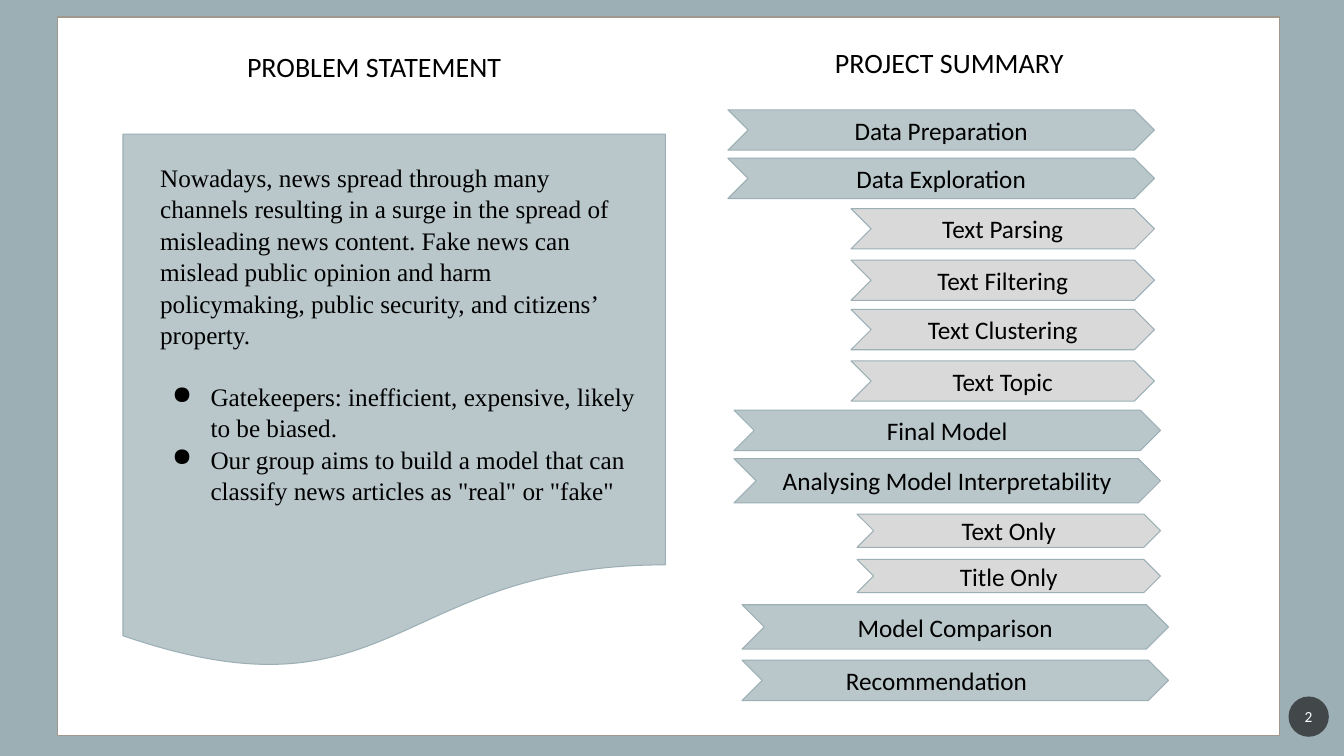
from dataclasses import dataclass

from lxml.etree import SubElement
from pptx import Presentation
from pptx.dml.color import RGBColor
from pptx.enum.shapes import MSO_SHAPE
from pptx.enum.text import MSO_ANCHOR, MSO_AUTO_SIZE, PP_ALIGN
from pptx.oxml.ns import qn
from pptx.util import Inches, Pt


@dataclass(frozen=True)
class Theme:
    back: str = "9BAFB5"
    panel: str = "FFFFFF"
    edge: str = "A0988C"
    top: str = "B9C7CB"
    base: str = "B7C5C9"
    sub: str = "D9D9D9"
    badge: str = "1D1D1D"
    ink: str = "000000"
    sans: str = "Calibri"
    serif: str = "Times New Roman"
    head: int = 20
    body: int = 18
    small: int = 11


LOOK = Theme()
INDENT = 1.22

INTRO = ("Nowadays, news spread through many channels resulting in a surge in "
         "the spread of misleading news content. Fake news can mislead public "
         "opinion and harm policymaking, public security, and citizens’ property.")
POINTS = ["Gatekeepers: inefficient, expensive, likely to be biased.",
          "Our group aims to build a model that can classify news articles "
          "as \"real\" or \"fake\""]

# Each stage: shift from the column's left, then (label, top, height, is sub-step)
STAGES = [
    (0, [("Data Preparation", 0, 0.4, False),
         ("Data Exploration", 0.48, 0.4, False),
         ("Text Parsing", 0.98, 0.4, True),
         ("Text Filtering", 1.49, 0.4, True),
         ("Text Clustering", 1.98, 0.4, True),
         ("Text Topic", 2.49, 0.4, True)]),
    (0.06, [("Final Model", 2.98, 0.4, False),
            ("Analysing Model Interpretability", 3.46, 0.44, False),
            ("Text Only", 4.01, 0.33, True),
            ("Title Only", 4.46, 0.33, True)]),
    (0.14, [("Model Comparison", 4.91, 0.44, False),
            ("Recommendation", 5.46, 0.4, False)]),
]


def rgb(code):
    return RGBColor.from_string(code)


def style(par, size, font=LOOK.sans, color=LOOK.ink, align=PP_ALIGN.LEFT):
    par.alignment = align
    par.font.size = Pt(size)
    par.font.name = font
    par.font.color.rgb = rgb(color)


def draw(slide, kind, box, fill, line=None, width=0.75):
    """Add a flat shape; a pair of fill colours gives a vertical gradient."""
    shape = slide.shapes.add_shape(kind, *map(Inches, box))
    shape.shadow.inherit = False
    if isinstance(fill, tuple):
        shape.fill.gradient()
        shape.fill.gradient_angle = 270
        for stop, code, spot in zip(shape.fill.gradient_stops, fill, (0, 1)):
            stop.color.rgb = rgb(code)
            stop.position = spot
    else:
        shape.fill.solid()
        shape.fill.fore_color.rgb = rgb(fill)
    if line:
        shape.line.color.rgb = rgb(line)
        shape.line.width = Pt(width)
    else:
        shape.line.fill.background()
    return shape


def label(shape, text, **kw):
    frame = shape.text_frame
    frame.word_wrap = True
    frame.vertical_anchor = MSO_ANCHOR.MIDDLE
    frame.text = text
    style(frame.paragraphs[0], align=PP_ALIGN.CENTER, **kw)
    return frame


def heading(shape, text, box):
    shape.left, shape.top, shape.width, shape.height = map(Inches, box)
    frame = shape.text_frame
    frame.word_wrap = True
    frame.auto_size = MSO_AUTO_SIZE.NONE
    frame.vertical_anchor = MSO_ANCHOR.TOP
    frame.margin_left = Inches(0.29)
    frame.text = text
    style(frame.paragraphs[0], LOOK.head)


def bullet(par):
    props = par._p.get_or_add_pPr()
    props.set("marL", str(Inches(0.5)))
    props.set("indent", str(Inches(-0.38)))
    tint = SubElement(props, qn("a:buClr"))
    SubElement(tint, qn("a:srgbClr"), val=LOOK.ink)
    SubElement(props, qn("a:buChar"), char="●")


def problem(slide, box):
    x, y, w, h = box
    draw(slide, MSO_SHAPE.FLOWCHART_DOCUMENT, box, (LOOK.top, LOOK.base), LOOK.back)
    area = (x + 0.27, y + 0.22, w - 0.45, h - 1.9)
    frame = slide.shapes.add_textbox(*map(Inches, area)).text_frame
    frame.word_wrap = True
    frame.text = "\n".join([INTRO, *POINTS])
    for par in frame.paragraphs:
        style(par, LOOK.body, LOOK.serif)
        par.line_spacing = 1.04
    first, *rest = frame.paragraphs
    first.space_after = Pt(21.5)
    for par in rest:
        bullet(par)


def summary(slide, x, y, w):
    """Stack the step chevrons; sub-steps are indented and grey."""
    for shift, steps in STAGES:
        for text, top, high, sub in steps:
            inset = INDENT if sub else 0
            fill = LOOK.sub if sub else (LOOK.top, LOOK.base)
            box = (x + shift + inset, y + top, w - inset, high)
            step = draw(slide, MSO_SHAPE.CHEVRON, box, fill, LOOK.back)
            frame = label(step, text, size=LOOK.body)
    # The last step is set flush left
    frame.paragraphs[0].alignment = PP_ALIGN.LEFT
    frame.margin_left = Inches(0.83)


def badge(slide, box, text):
    disc = draw(slide, MSO_SHAPE.OVAL, box, LOOK.badge)
    tint = disc.fill._xPr.find(qn("a:solidFill"))[0]
    SubElement(tint, qn("a:alpha"), val="70000")
    frame = label(disc, text, size=LOOK.small, color=LOOK.panel)
    frame.margin_left = frame.margin_right = Inches(0.02)


def main():
    deck = Presentation()
    deck.slide_width, deck.slide_height = Inches(13.33), Inches(7.5)
    slide = deck.slides.add_slide(deck.slide_layouts[5])
    slide.background.fill.solid()
    slide.background.fill.fore_color.rgb = rgb(LOOK.back)

    draw(slide, MSO_SHAPE.RECTANGLE, (0.57, 0.17, 12.12, 7.13),
         LOOK.panel, LOOK.edge, 1)
    title = slide.shapes.title
    slide.shapes._spTree.append(title._element)  # bring in front of the panel
    heading(title, "PROBLEM STATEMENT", (2.16, 0.44, 3.8, 0.44))
    heading(slide.shapes.add_textbox(0, 0, 0, 0), "PROJECT SUMMARY",
            (7.99, 0.4, 3.25, 0.44))
    problem(slide, (1.22, 1.33, 5.38, 5.33))
    summary(slide, 7.22, 1.09, 4.23)
    badge(slide, (12.78, 6.91, 0.4, 0.4), "2")
    deck.save("out.pptx")


if __name__ == "__main__":
    main()
